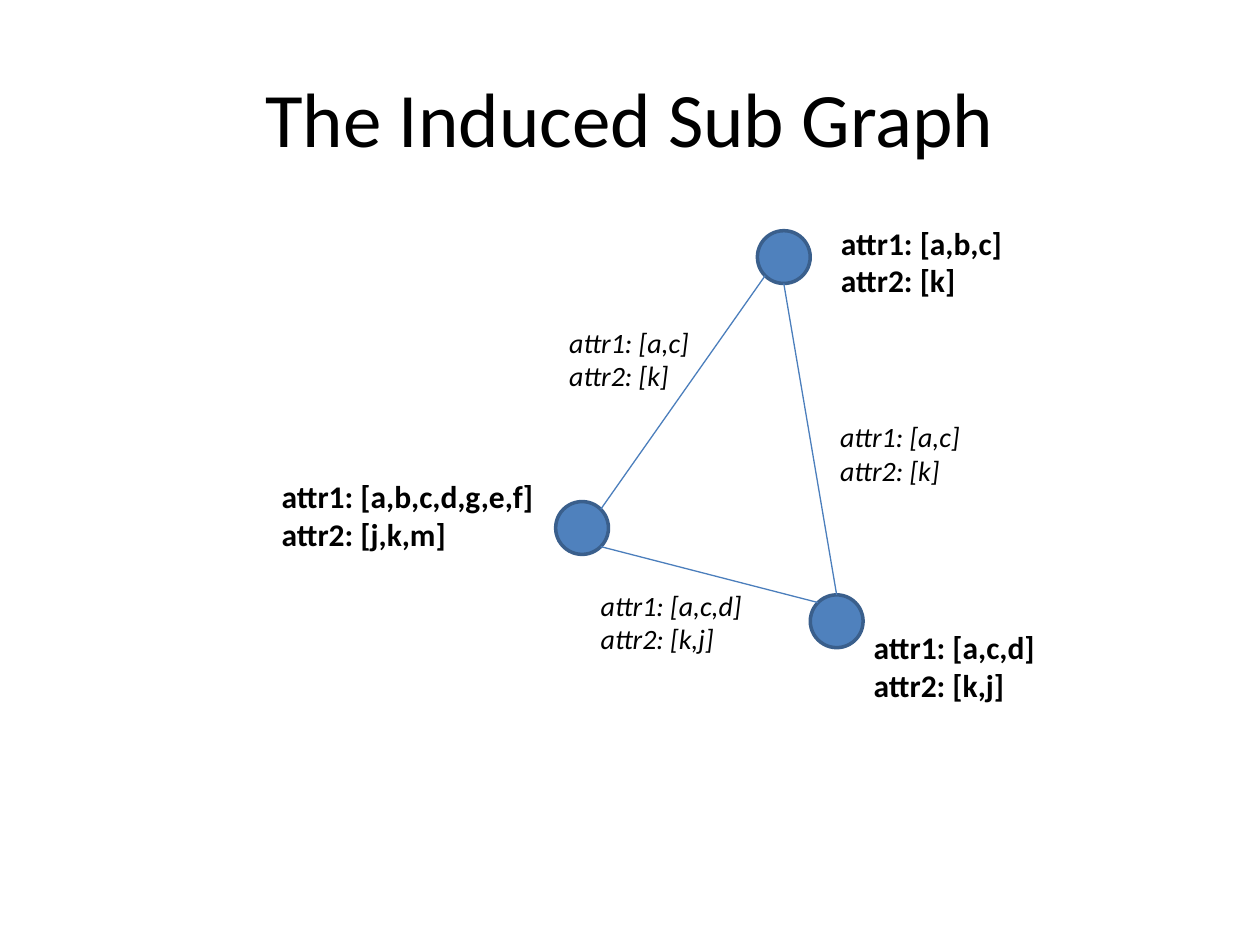
"""Build the slide showing an induced sub graph with labelled nodes and edges."""
from dataclasses import dataclass
from math import cos, radians, sin

from lxml import etree
from pptx import Presentation
from pptx.dml.color import RGBColor
from pptx.enum import shapes, text
from pptx.oxml import ns
from pptx.util import Pt

FONT = "Calibri"
BLACK = "000000"
NODE_FILL = "4F81BD"
NODE_OUTLINE = "3A5F8C"
EDGE_COLOUR = "4B7EBC"
DIAMETER = 30.2


@dataclass(frozen=True)
class Node:
    x: float
    y: float

    def rim(self, degrees: float) -> tuple[float, float]:
        """Return the point on the outline at an angle clockwise from the right."""
        angle = radians(degrees)
        radius = DIAMETER / 2
        return self.x + radius * cos(angle), self.y + radius * sin(angle)


@dataclass(frozen=True)
class Edge:
    start: Node
    start_angle: float
    end: Node
    end_angle: float


@dataclass(frozen=True)
class Label:
    left: float
    top: float
    width: float
    attributes: tuple[str, str]
    is_node: bool


TOP = Node(447.9, 146.9)
RIGHT = Node(478.1, 355)
LEFT = Node(332.6, 301.7)
NODES = (TOP, RIGHT, LEFT)
EDGES = (
    Edge(LEFT, -45, TOP, 135),
    Edge(LEFT, 45, RIGHT, -135),
    Edge(TOP, 90, RIGHT, -90),
)
LABELS = (
    Label(473, 236.2, 92, ("[a,c]", "[k]"), False),
    Label(492.2, 355.3, 186, ("[a,c,d]", "[k,j]"), True),
    Label(153.9, 269, 164, ("[a,b,c,d,g,e,f]", "[j,k,m]"), True),
    Label(473.5, 124.2, 186, ("[a,b,c]", "[k]"), True),
    Label(336.2, 332.7, 118, ("[a,c,d]", "[k,j]"), False),
    Label(318.2, 182.2, 118, ("[a,c]", "[k]"), False),
)


def colour(value: str) -> RGBColor:
    """Turn a hex string into a colour."""
    return RGBColor.from_string(value)


def add_run(paragraph, wording: str, size: float, bold: bool = False, italic: bool = False) -> None:
    """Append one formatted run to a paragraph."""
    run = paragraph.add_run()
    run.text = wording
    run.font.name = FONT
    run.font.size = Pt(size)
    run.font.bold = bold
    run.font.italic = italic
    run.font.color.rgb = colour(BLACK)


def draw_title(slide, wording: str) -> None:
    """Place and fill the title placeholder."""
    title = slide.shapes.title
    title.left, title.top, title.width, title.height = Pt(36), Pt(21.6), Pt(648), Pt(90)
    title.text_frame.vertical_anchor = text.MSO_ANCHOR.MIDDLE
    heading = title.text_frame.paragraphs[0]
    heading.alignment = text.PP_ALIGN.CENTER
    add_run(heading, wording, 44)


def draw_node(slide, node: Node) -> None:
    """Draw a node as a circle around its centre."""
    radius = DIAMETER / 2
    circle = slide.shapes.add_shape(
        shapes.MSO_SHAPE.OVAL,
        Pt(node.x - radius), Pt(node.y - radius), Pt(DIAMETER), Pt(DIAMETER),
    )
    circle.shadow.inherit = False
    circle.fill.solid()
    circle.fill.fore_color.rgb = colour(NODE_FILL)
    circle.line.color.rgb = colour(NODE_OUTLINE)
    circle.line.width = Pt(2)


def draw_edge(slide, edge: Edge) -> None:
    """Draw a straight line between the rims of two nodes."""
    ends = edge.start.rim(edge.start_angle) + edge.end.rim(edge.end_angle)
    link = slide.shapes.add_connector(shapes.MSO_CONNECTOR.STRAIGHT, *map(Pt, ends))
    link.line.color.rgb = colour(EDGE_COLOUR)
    link.line.width = Pt(0.75)
    etree.SubElement(link._element.spPr, ns.qn("a:effectLst"))


def draw_label(slide, label: Label) -> None:
    """Write the two attributes, bold for a node and italic for an edge."""
    size = 18 if label.is_node else 16
    height = 2 * 1.22 * size + 7.2
    box = slide.shapes.add_textbox(Pt(label.left), Pt(label.top), Pt(label.width), Pt(height))
    frame = box.text_frame
    frame.word_wrap = True
    for number, values in enumerate(label.attributes, 1):
        line = frame.paragraphs[0] if number == 1 else frame.add_paragraph()
        add_run(line, f"attr{number}: {values}", size, label.is_node, not label.is_node)


def main() -> None:
    """Build and save the presentation."""
    deck = Presentation()
    deck.slide_width, deck.slide_height = Pt(720), Pt(540)
    slide = deck.slides.add_slide(deck.slide_layouts[5])
    draw_title(slide, "The Induced Sub Graph")
    for node in NODES:
        draw_node(slide, node)
    for edge in EDGES:
        draw_edge(slide, edge)
    for label in LABELS:
        draw_label(slide, label)
    deck.save("out.pptx")


if __name__ == "__main__":
    main()
